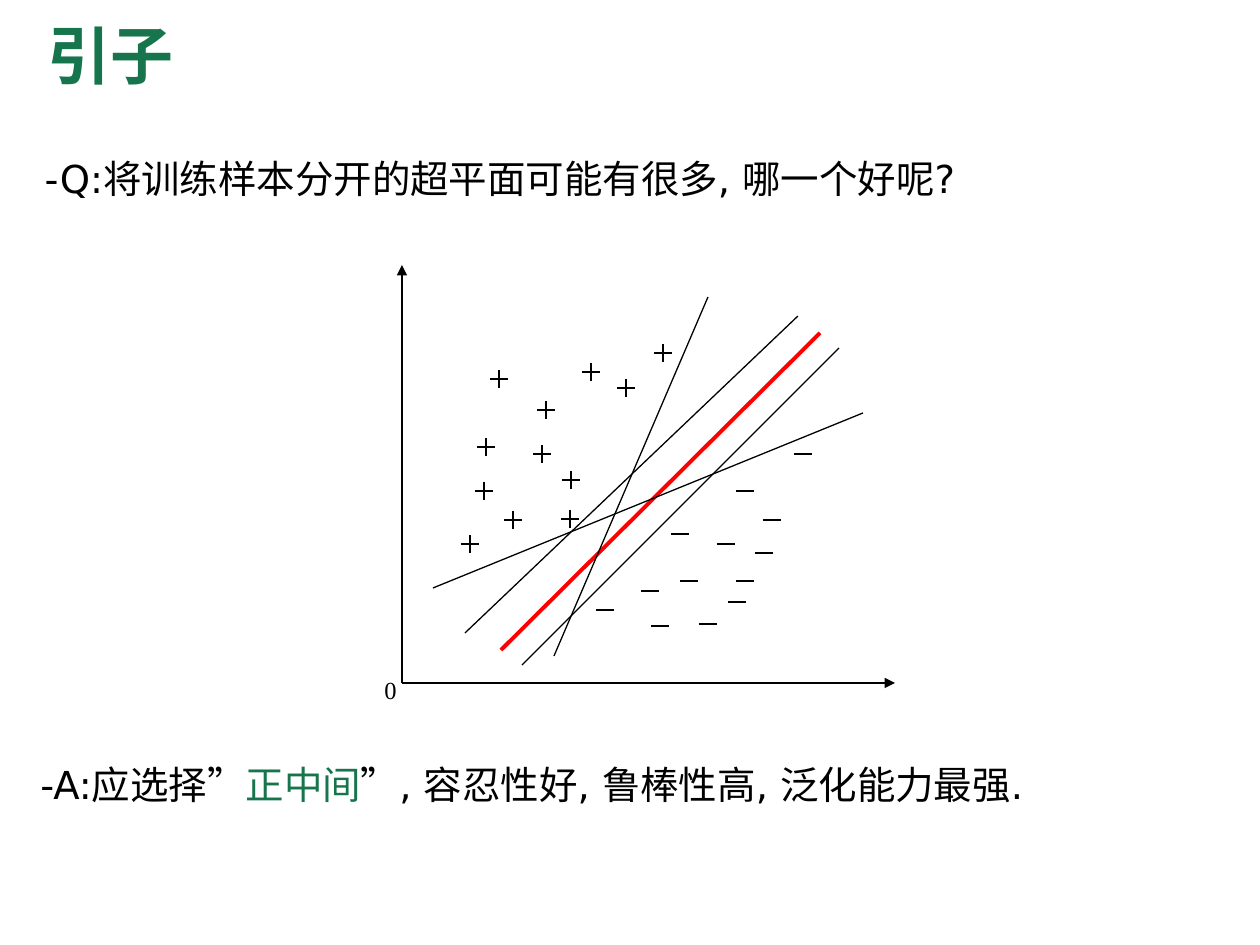
import pptx
import pptx.util
import pptx.dml.color
import pptx.enum.shapes
import pptx.enum.text
import pptx.oxml.ns
from lxml import etree

EMU_PER_PX = 914400 / 126
BLACK = pptx.dml.color.RGBColor(0x00, 0x00, 0x00)
GREEN = pptx.dml.color.RGBColor(0x16, 0x75, 0x4D)
RED = pptx.dml.color.RGBColor(0xFF, 0x00, 0x00)
SANS = "DejaVu Sans"
SERIF = "Times New Roman"
MARK_RADIUS = 9

TITLE_FORMAT = {"size": pptx.util.Pt(36), "name": SANS, "bold": True}
BODY_FORMAT = {"size": pptx.util.Pt(22), "name": SANS}
ORIGIN_FORMAT = {"size": pptx.util.Pt(14), "name": SERIF}

# Centres of the samples and ends of the lines, relative to the plot box
POSITIVE_SAMPLES = [
    (189, 107), (169, 215), (140, 189), (82, 226), (111, 255), (168, 254),
    (97, 114), (261, 88), (224, 123), (68, 279), (144, 145), (84, 182),
]
NEGATIVE_SAMPLES = [
    (362, 288), (278, 269), (258, 361), (203, 345), (335, 337), (343, 316), (248, 326),
    (370, 255), (287, 316), (306, 359), (324, 279), (343, 226), (401, 189),
]
OTHER_HYPERPLANES = [
    ((461, 148), (31, 323)),
    ((306, 32), (152, 391)),
    ((437, 83), (120, 400)),
    ((396, 51), (63, 368)),
]
BEST_HYPERPLANE = ((99, 385), (418, 68))


def px(length):
    return pptx.util.Emu(round(length * EMU_PER_PX))


def place(shape, box):
    for side, length in zip(("left", "top", "width", "height"), box):
        setattr(shape, side, px(length))


def write_line(shape, runs, font_format, line_spacing=0.9):
    """Fill the shape with one left-aligned paragraph of (text, colour) runs."""
    paragraph = shape.text_frame.paragraphs[0]
    paragraph.alignment = pptx.enum.text.PP_ALIGN.LEFT
    paragraph.line_spacing = line_spacing
    paragraph.space_before = pptx.util.Pt(0)
    for text, color in runs:
        run = paragraph.add_run()
        run.text = text
        run.font.color.rgb = color
        for name, value in font_format.items():
            setattr(run.font, name, value)
    return paragraph


def remove_bullet(paragraph):
    properties = paragraph._p.get_or_add_pPr()
    properties.set("marL", "0")
    properties.set("indent", "0")
    etree.SubElement(properties, pptx.oxml.ns.qn("a:buNone"))


def add_line(shapes, start, end, color=BLACK, width=1.5, arrow=False):
    line = shapes.add_connector(
        pptx.enum.shapes.MSO_CONNECTOR.STRAIGHT, *map(px, (*start, *end)))
    line.line.color.rgb = color
    line.line.width = pptx.util.Pt(width)
    if arrow:
        etree.SubElement(line.line._get_or_add_ln(), pptx.oxml.ns.qn("a:tailEnd"), type="triangle")
    etree.SubElement(line._element.spPr, pptx.oxml.ns.qn("a:effectLst"))


def add_minus(shapes, x, y):
    add_line(shapes, (x - MARK_RADIUS, y), (x + MARK_RADIUS, y))


def add_plus(shapes, x, y):
    group = shapes.add_group_shape()
    add_minus(group.shapes, x, y)
    add_line(group.shapes, (x, y - MARK_RADIUS), (x, y + MARK_RADIUS))


def add_title(slide, box):
    title = slide.shapes.title
    place(title, box)
    title.text_frame.vertical_anchor = pptx.enum.text.MSO_ANCHOR.MIDDLE
    write_line(title, [("引子", GREEN)], TITLE_FORMAT)


def add_question(slide, box):
    body = slide.placeholders[1]
    place(body, box)
    runs = [("-Q:将训练样本分开的超平面可能有很多, 哪一个好呢?", BLACK)]
    remove_bullet(write_line(body, runs, BODY_FORMAT))


def add_answer(slide, box):
    answer = slide.shapes.add_textbox(*map(px, box))
    answer.text_frame.word_wrap = True
    runs = [
        ("-A:应选择”", BLACK),
        ("正中间", GREEN),
        ("”, 容忍性好, 鲁棒性高, 泛化能力最强.", BLACK),
    ]
    write_line(answer, runs, BODY_FORMAT)


def add_plot(slide, box):
    left, top, width, height = box
    shapes = slide.shapes

    def at(point):
        return left + point[0], top + point[1]

    origin = at((0, height))
    add_line(shapes, origin, at((0, 0)), arrow=True)
    add_line(shapes, origin, at((width, height)), arrow=True)
    label = shapes.add_textbox(*map(px, (*at((-30, height - 14)), 45, 52)))
    label.text_frame.word_wrap = False
    write_line(label, [("0", BLACK)], ORIGIN_FORMAT, line_spacing=1.0)

    for center in POSITIVE_SAMPLES:
        add_plus(shapes, *at(center))
    for center in NEGATIVE_SAMPLES:
        add_minus(shapes, *at(center))

    add_line(shapes, *map(at, BEST_HYPERPLANE), color=RED, width=2.25)
    for ends in OTHER_HYPERPLANES:
        add_line(shapes, *map(at, ends), width=0.75)


def main():
    presentation = pptx.Presentation()
    presentation.slide_width = px(1260)
    presentation.slide_height = px(945)
    slide = presentation.slides.add_slide(presentation.slide_layouts[1])
    add_title(slide, (35, 6, 1086, 107))
    add_question(slide, (32, 154, 1187, 62))
    add_plot(slide, (402, 265, 493, 418))
    add_answer(slide, (28, 760, 1187, 72))
    presentation.save("out.pptx")


if __name__ == "__main__":
    main()
